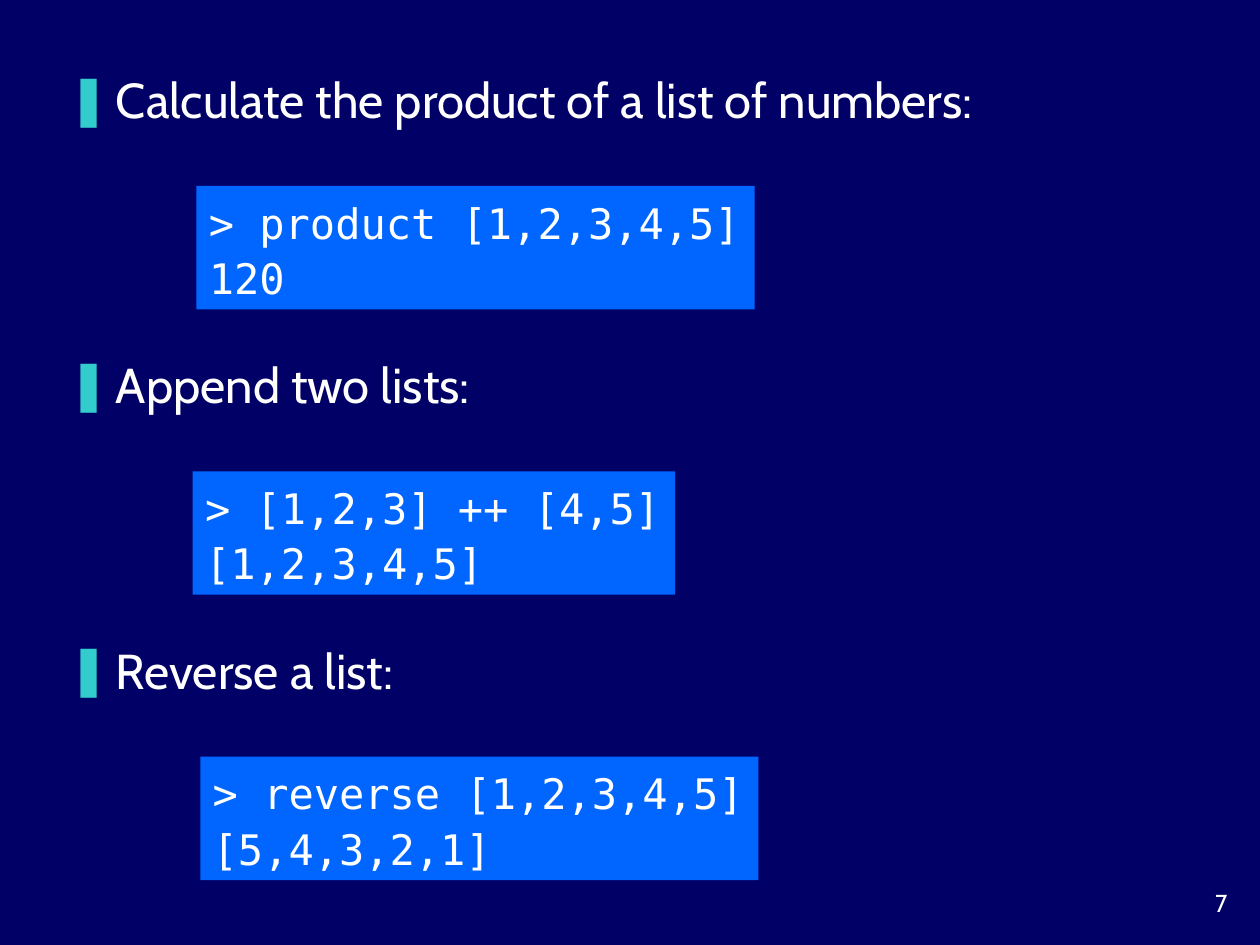
from lxml import etree
from pptx import Presentation
from pptx.dml.color import RGBColor
from pptx.enum.shapes import MSO_SHAPE
from pptx.enum.text import MSO_ANCHOR, MSO_AUTO_SIZE, PP_ALIGN
from pptx.oxml.ns import qn
from pptx.util import Inches, Pt

NAVY = RGBColor(0x00, 0x00, 0x66)
BLUE = RGBColor(0x00, 0x66, 0xFF)
TEAL = RGBColor(0x33, 0xCC, 0xCC)
WHITE = RGBColor(0xFF, 0xFF, 0xFF)
RECTANGLE = MSO_SHAPE.RECTANGLE
TOP = MSO_ANCHOR.TOP
LEFT, RIGHT = PP_ALIGN.LEFT, PP_ALIGN.RIGHT
NO_FIT, GROW = MSO_AUTO_SIZE.NONE, MSO_AUTO_SIZE.SHAPE_TO_FIT_TEXT

COMPARISON_LAYOUT = 4
COLUMNS, ROWS = 100, 75  # grid over the slide
FIRST_ROW, ROW_STEP, CODE_DROP = 5, 22.65, 9.75

# heading, code lines, left column and width of the code box
EXAMPLES = [
    ("Calculate the product of a list of numbers:",
     ["> product [1,2,3,4,5]", "120"], 15.6, 44.3),
    ("Append two lists:",
     ["> [1,2,3] ++ [4,5]", "[1,2,3,4,5]"], 15.3, 38.3),
    ("Reverse a list:",
     ["> reverse [1,2,3,4,5]", "[5,4,3,2,1]"], 15.9, 44.3),
]


class SlideBuilder:
    text_font = "Cabin"
    code_font = "DejaVu Sans Mono"

    def __init__(self, presentation):
        self.column = presentation.slide_width / COLUMNS
        self.row = presentation.slide_height / ROWS
        layout = presentation.slide_layouts[COMPARISON_LAYOUT]
        self.slide = presentation.slides.add_slide(layout)
        background = self.slide.background.fill
        background.solid()
        background.fore_color.rgb = NAVY
        self.bodies = list(self.slide.placeholders)[1:]

    def box(self, left, top, width, height):
        return (round(left * self.column), round(top * self.row),
                round(width * self.column), round(height * self.row))

    def format_text(self, text_frame, font_name, size, alignment=LEFT):
        text_frame.vertical_anchor = TOP
        for paragraph in text_frame.paragraphs:
            paragraph.alignment = alignment
            for run in paragraph.runs:
                run.font.name = font_name
                run.font.size = Pt(size)
                run.font.bold = False
                run.font.color.rgb = WHITE

    def heading(self, text, top):
        shape = self.bodies.pop(0)
        shape.left, shape.top, shape.width, shape.height = self.box(4.4, top, 89.4, 6.5)
        text_frame = shape.text_frame
        text_frame.text = text
        text_frame.auto_size = NO_FIT
        self.format_text(text_frame, self.text_font, 28)
        self.add_bullet(text_frame.paragraphs[0])

    def add_bullet(self, paragraph):
        properties = paragraph._p.get_or_add_pPr()
        indent = Inches(0.38)
        properties.set("marL", str(indent))
        properties.set("indent", str(-indent))
        color = etree.SubElement(properties, qn("a:buClr"))
        etree.SubElement(color, qn("a:srgbClr"), val=str(TEAL))
        etree.SubElement(properties, qn("a:buFont"), typeface=self.text_font)
        etree.SubElement(properties, qn("a:buChar"), char="❚")

    def code(self, lines, left, top, width):
        shape = self.slide.shapes.add_shape(RECTANGLE, *self.box(left, top, width, 9.8))
        shape.shadow.inherit = False
        shape.fill.solid()
        shape.fill.fore_color.rgb = BLUE
        shape.line.fill.background()
        text_frame = shape.text_frame
        text_frame.text = "\n".join(lines)
        text_frame.word_wrap = False
        text_frame.auto_size = GROW
        self.format_text(text_frame, self.code_font, 24)
        for paragraph in text_frame.paragraphs:
            paragraph.line_spacing = 1.1

    def page_number(self, number):
        shape = self.slide.shapes.add_textbox(*self.box(91.7, 70, 6.7, 3.3))
        shape.text_frame.text = str(number)
        shape.text_frame.word_wrap = True
        self.format_text(shape.text_frame, self.text_font, 14, RIGHT)

    def remove_empty_placeholders(self):
        for shape in list(self.slide.placeholders):
            if not shape.text_frame.text:
                shape.element.getparent().remove(shape.element)


def main():
    presentation = Presentation()
    presentation.slide_width = Inches(10)
    presentation.slide_height = Inches(7.5)
    builder = SlideBuilder(presentation)

    # Each example is a heading with its code below
    for index, (heading, lines, left, width) in enumerate(EXAMPLES):
        top = FIRST_ROW + index * ROW_STEP
        builder.heading(heading, top)
        builder.code(lines, left, top + CODE_DROP, width)

    builder.page_number(7)
    builder.remove_empty_placeholders()
    presentation.save("out.pptx")


if __name__ == "__main__":
    main()
